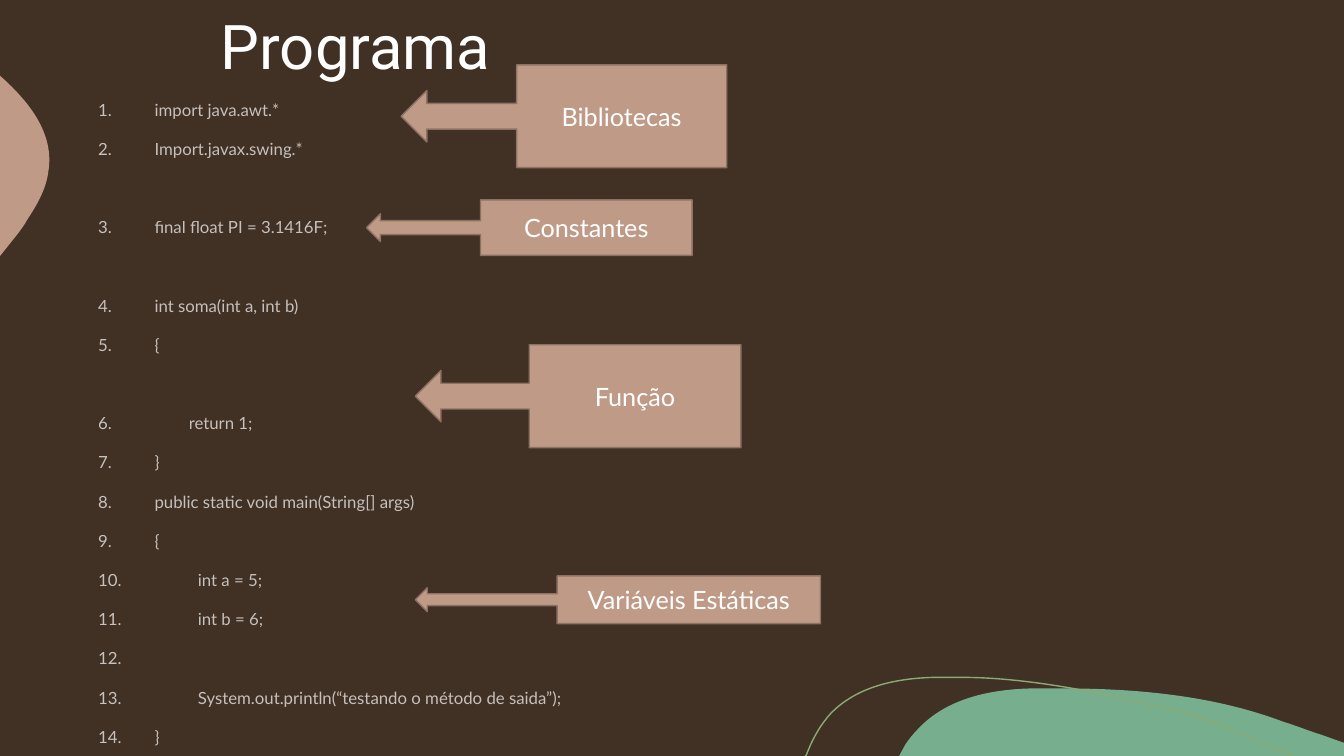
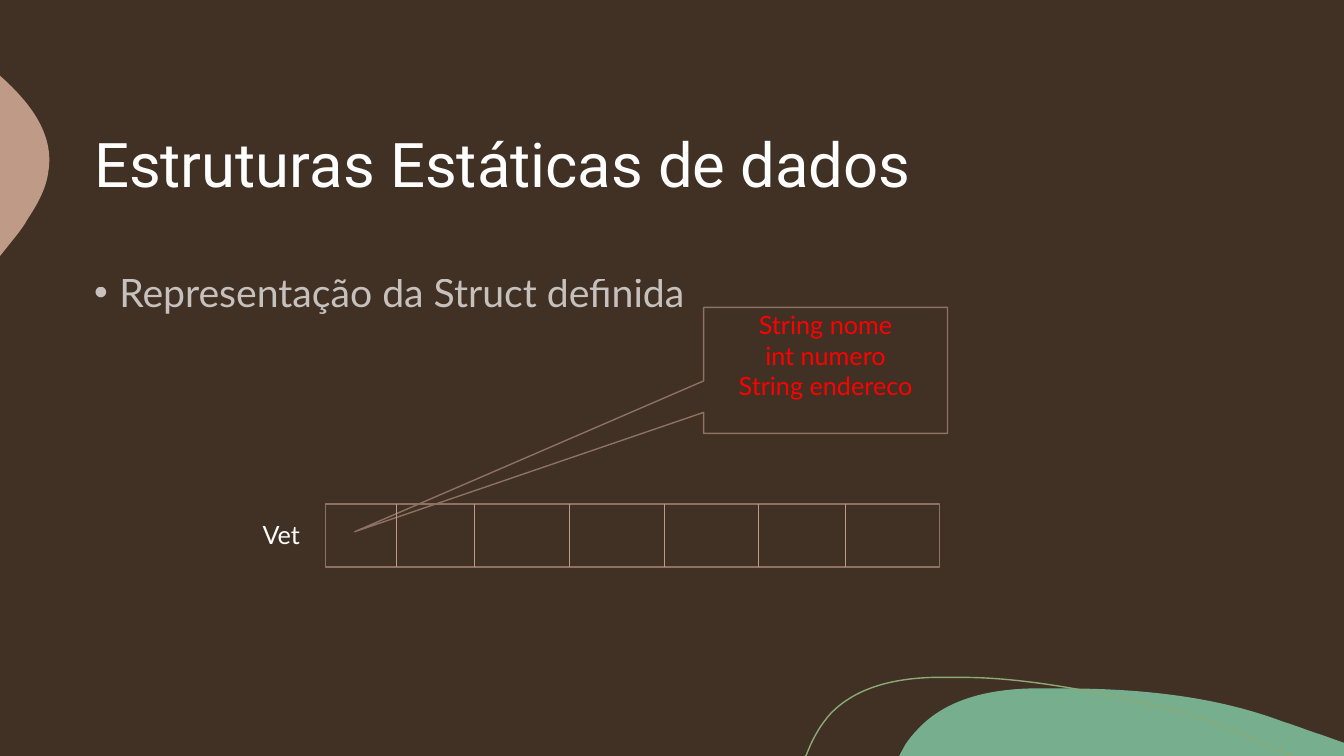
"""Builds two slides on a Java program and on static data structures."""
import lxml.etree
import pptx
import pptx.dml.color
import pptx.enum.shapes
import pptx.enum.text
import pptx.oxml.ns
import pptx.util

BROWN, PINK, OUTLINE = "413024", "BE9A87", "8D7264"
GREEN, LIGHT_GREEN, WHITE, RED = "77AE8E", "8BAB75", "FFFFFF", "FF0000"
COLUMNS, ROWS, CELL = 160, 90, 76200

rgb = pptx.dml.color.RGBColor.from_string
qn = pptx.oxml.ns.qn
Pt = pptx.util.Pt
SHAPE = pptx.enum.shapes.MSO_SHAPE
ALIGN = pptx.enum.text.PP_ALIGN
ANCHOR = pptx.enum.text.MSO_ANCHOR


def grid(*cells):
    """Turn grid cells into slide lengths."""
    return [pptx.util.Emu(round(cell * CELL)) for cell in cells]


def write(shape, lines, size, color=WHITE, align=ALIGN.CENTER, font="Lato",
          anchor=ANCHOR.MIDDLE, spacing=None, before=None):
    """Fill a shape with equally formatted paragraphs and return them."""
    frame = shape.text_frame
    frame.text = "\n".join(lines)
    frame.word_wrap = True
    frame.auto_size = pptx.enum.text.MSO_AUTO_SIZE.NONE
    frame.vertical_anchor = anchor
    for para in frame.paragraphs:
        para.alignment = align
        para.line_spacing = spacing
        para.space_before = before
        para.font.name = font
        para.font.size = Pt(size)
        para.font.color.rgb = rgb(color)
    return frame.paragraphs


deck = pptx.Presentation()
deck.slide_width, deck.slide_height = grid(COLUMNS, ROWS)
master = deck.slide_master
master.background.fill.solid()
master.background.fill.fore_color.rgb = rgb(BROWN)

code = [
    ("import java.awt.*", 0, 0), ("Import.javax.swing.*", 0, 0),
    ("final float PI = 3.1416F;", 0, 1),
    ("int soma(int a, int b)", 0, 1), ("{", 0, 0),
    ("return 1;", 0.34, 1), ("}", 0, 0),
    ("public static void main(String[] args)", 0, 0), ("{", 0, 0),
    ("int a = 5;", 0.43, 0), ("int b = 6;", 0.43, 0), (" ", 0, 0),
    ("System.out.println(“testando o método de saida”);", 0.43, 0),
    ("}", 0, 0),
]
contents = [
    ("Programa", (25.1, 0.7, 108, 10.3), (9.04, 10.66, 123, 73.3), code,
     12, ALIGN.JUSTIFY, 0.68, 0.56, "Lato", "buAutoNum", {"type": "arabicPeriod"}),
    ("Estruturas Estáticas de dados", (10, 10, 140, 20), (10, 30, 140, 50.2),
     [("Representação da Struct definida", 0, 0)],
     28, ALIGN.LEFT, 0.25, 0.25, "Arial", "buChar", {"char": "•"}),
]
for (heading, title_cells, body_cells, items, size, align, margin, hanging,
     bullet_font, bullet_tag, bullet) in contents:
    slide = deck.slides.add_slide(deck.slide_layouts[1])
    title, body = slide.placeholders
    title.left, title.top, title.width, title.height = grid(*title_cells)
    body.left, body.top, body.width, body.height = grid(*body_cells)
    write(title, [heading], 44, align=ALIGN.LEFT, font="Roboto", spacing=0.9)
    paras = write(body, [text for text, indent, gap in items], size, align=align,
                  anchor=ANCHOR.TOP, spacing=1.25, before=Pt(10))
    properties = body.element.iter(qn("a:pPr"))
    for para, node, (text, indent, gap) in zip(paras, properties, items):
        para.space_before = Pt(10 + 27.9 * gap)
        node.set("marL", str(pptx.util.Inches(margin + indent)))
        node.set("indent", str(-pptx.util.Inches(hanging + indent)))
        defaults = node.find(qn("a:defRPr"))
        for tag, values in (("buFont", {"typeface": bullet_font}), (bullet_tag, bullet)):
            defaults.addprevious(lxml.etree.Element(qn("a:" + tag), values))
        lxml.etree.SubElement(defaults.find(".//" + qn("a:srgbClr")),
                              qn("a:alpha"), val="70000")

program, structures = deck.slides

decorations = [
    (GREEN, None, [
        (126.48, 81.96), (135.36, 81.96, 144.48, 82.8, 152.76, 85.92),
        (154.32, 86.4, 155.76, 87, 157.32, 87.48), (160, 88.44), (160, 90),
        (107.04, 90), (107.76, 88.68),
        (108.24, 87.96, 108.72, 87.36, 109.32, 86.76),
        (112.68, 83.16, 117.84, 82.08, 122.76, 81.96),
        (123.96, 81.96, 125.16, 81.96, 126.48, 81.96)]),
    (PINK, None, [
        (0, 9), (0.12, 9.12), (3.6, 12.24, 6.48, 15.96, 5.76, 20.4),
        (5.52, 22.44, 4.44, 24.36, 3.24, 26.16),
        (2.88, 26.88, 2.04, 27.96, 0.96, 29.28), (0, 30.48)]),
    (None, LIGHT_GREEN, [
        (95.88, 90), (96, 89.88), (96.72, 87.96, 97.68, 86.28, 98.88, 84.96),
        (102, 81.72, 106.68, 80.76, 111.12, 80.64), (114.6, 80.64),
        (122.64, 80.64, 132, 82.68, 138.6, 84.24),
        (145.08, 85.8, 147.12, 87.24, 153.96, 90)]),
]
for layer, (fill, line, segments) in enumerate(decorations):
    corners = [grid(*segment[-2:]) for segment in segments]
    builder = program.shapes.build_freeform(*corners[0], scale=1.0)
    builder.add_line_segments(corners[1:], close=fill is not None)
    blob = builder.convert_to_shape()
    for edge, segment in zip(list(blob.element.iter(qn("a:lnTo"))), segments[1:]):
        if len(segment) == 6:
            curve = lxml.etree.Element(qn("a:cubicBezTo"))
            for x, y in zip(grid(*segment[::2]), grid(*segment[1::2])):
                lxml.etree.SubElement(curve, qn("a:pt"),
                                      x=str(x - blob.left), y=str(y - blob.top))
            edge.getparent().replace(edge, curve)
    blob.shadow.inherit = False
    if fill:
        blob.fill.solid()
        blob.fill.fore_color.rgb = rgb(fill)
        blob.line.fill.background()
    else:
        blob.fill.background()
        blob.line.color.rgb = rgb(line)
        blob.line.width = Pt(1)
    master.shapes.element.insert(2 + layer, blob.element)

callouts = [
    ("Bibliotecas", 0.645, 47.76, 7.72, 38.76, 12.24),
    ("Função", 0.65, 49.44, 41.04, 38.76, 12.24),
    ("Constantes", 0.65, 43.64, 23.8, 38.76, 6.6),
    ("Variáveis Estáticas", 0.65, 49.44, 68.56, 48.24, 5.68),
]
for label, box_share, *cells in callouts:
    callout = program.shapes.add_shape(SHAPE.LEFT_ARROW_CALLOUT, *grid(*cells))
    callout.adjustments[3] = box_share
    callout.shadow.inherit = False
    callout.fill.solid()
    callout.fill.fore_color.rgb = rgb(PINK)
    callout.line.color.rgb = rgb(OUTLINE)
    callout.line.width = Pt(1)
    write(callout, [label], 18)

vector_left, vector_top, vector_width, vector_height = 38.76, 60, 73.08, 7.5
fields = structures.shapes.add_shape(
    SHAPE.RECTANGULAR_CALLOUT, *grid(83.76, 36.6, 29.04, 15))
fields.adjustments[0], fields.adjustments[1] = -1.93, 1.28
write(fields, ["String nome", "int numero", "String endereco"], 18, RED,
      anchor=ANCHOR.TOP)
fields.text_frame.margin_top = Pt(1.6)
vector = structures.shapes.add_shape(
    SHAPE.RECTANGLE, *grid(vector_left, vector_top, vector_width, vector_height))
for box in (fields, vector):
    box.shadow.inherit = False
    box.fill.background()
    box.line.color.rgb = rgb(OUTLINE)
    box.line.width = Pt(1)

name = structures.shapes.add_textbox(*grid(31.25, 61.85, 6.6, 3.72))
write(name, ["Vet"], 18, align=ALIGN.LEFT, anchor=ANCHOR.TOP)
frame = name.text_frame
frame.margin_left = frame.margin_top = frame.margin_right = frame.margin_bottom = 0

for column in (47.16, 56.52, 67.8, 79.08, 90.3, 100.68):
    divider = structures.shapes.add_connector(
        pptx.enum.shapes.MSO_CONNECTOR.STRAIGHT,
        *grid(column, vector_top, column, vector_top + vector_height))
    divider.line.color.rgb = rgb(PINK)
    divider.line.width = Pt(0.5)
    lxml.etree.SubElement(divider.element.find(qn("p:spPr")), qn("a:effectLst"))

deck.save("out.pptx")
